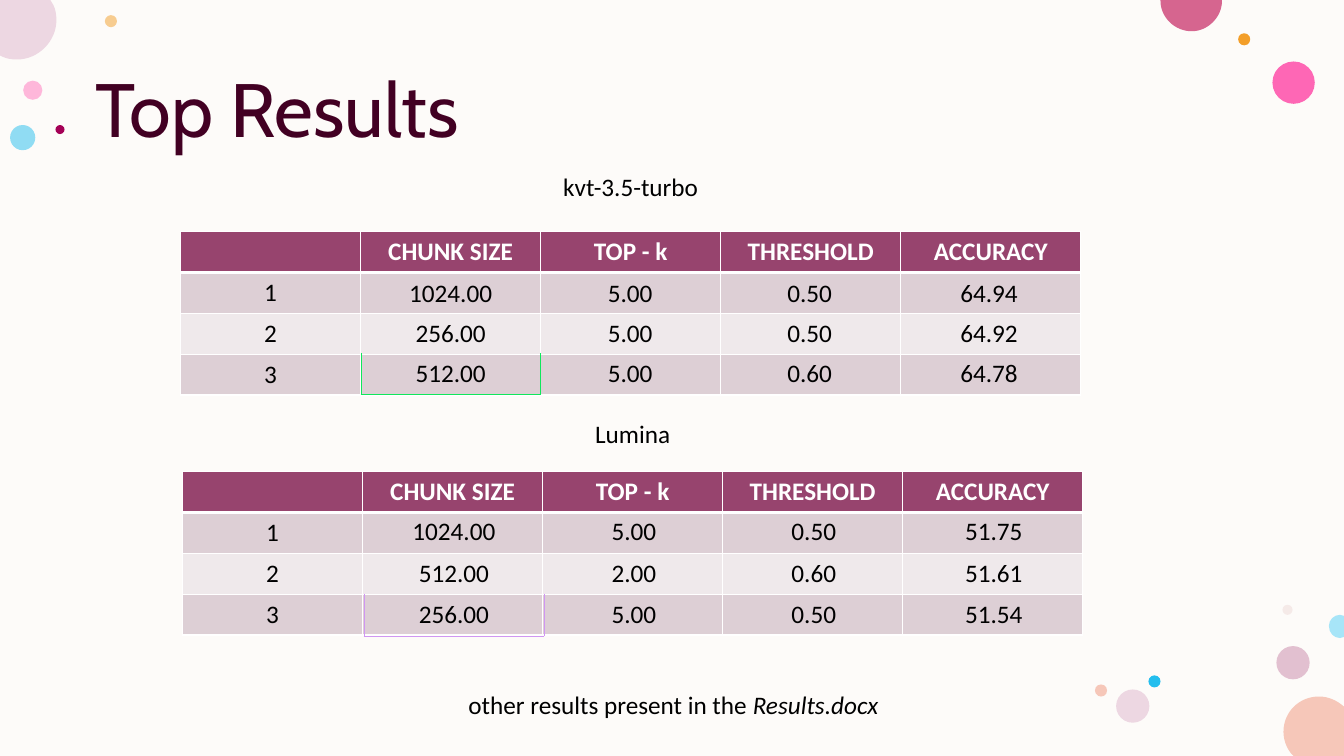
from lxml.etree import SubElement
from pptx import Presentation
from pptx.dml.color import RGBColor
from pptx.enum.shapes import MSO_SHAPE as Shape
from pptx.enum.text import MSO_ANCHOR as Anchor, PP_ALIGN as Align
from pptx.oxml.ns import qn
from pptx.util import Inches, Pt

WIDTH, HEIGHT = 13.33, 7.5
CREAM = RGBColor(0xFD, 0xFB, 0xF9)
WHITE = RGBColor(0xFF, 0xFF, 0xFF)
BLACK = RGBColor(0, 0, 0)
WINE = RGBColor(0x42, 0x00, 0x23)
PLUM = RGBColor(0x97, 0x44, 0x6E)
BAND_DARK = RGBColor(0xDD, 0xCF, 0xD5)
BAND_LIGHT = RGBColor(0xEF, 0xE9, 0xEB)
GREEN = RGBColor(0x10, 0xE7, 0x5C)
LILAC = RGBColor(0xD0, 0x96, 0xF2)
PINK = RGBColor(0xFF, 0x75, 0xBD)
HOT_PINK = RGBColor(0xFF, 0x2F, 0x9C)
ORANGE = RGBColor(0xF3, 0x9E, 0x29)
MAUVE = RGBColor(0xC9, 0x87, 0xA8)
BLUE = RGBColor(0x24, 0xBE, 0xEE)
PALE_BLUE = RGBColor(0xA7, 0xE5, 0xF8)
ROSE = RGBColor(0xE3, 0xBE, 0xBE)
BLUSH = RGBColor(0xED, 0xD7, 0xE2)
PEACH = RGBColor(0xF6, 0xC7, 0xB9)
RASPBERRY = RGBColor(0xD6, 0x65, 0x8F)
MAGENTA = RGBColor(0xA4, 0x00, 0x56)

PLAIN_STYLE = "{2D5ABB26-0587-4C30-8999-92F81FD0307C}"
BODY = {"name": "Calibri", "size": Pt(18), "bold": False}
HEADER = {**BODY, "bold": True}
TITLE = {"name": "Cabin", "size": Pt(54)}

# left, top, diameter, colour, opacity in percent
DOTS = [
    (0.23, 0.8, 0.19, PINK, 50),
    (1.04, 0.15, 0.12, ORANGE, 50),
    (12.66, 6.41, 0.33, MAUVE, 50),
    (0.1, 1.24, 0.25, BLUE, 50),
    (12.62, 0.61, 0.42, HOT_PINK, 72),
    (12.28, 0.33, 0.12, ORANGE, 100),
    (12.72, 6, 0.1, ROSE, 28),
    (11.39, 6.7, 0.12, BLUE, 100),
    (11.07, 6.84, 0.33, BLUSH, 100),
    (10.86, 6.79, 0.12, PEACH, 100),
    (0.55, 1.24, 0.09, MAGENTA, 100),
]
# Colour, start point, then segments: one point is a line, three are a curve
EDGE_DOTS = [
    (PEACH, (13.08, 6.91), [
        [(13.18, 6.91), (13.26, 6.95), (13.33, 7.01)], [(13.33, 7.5)], [(12.83, 7.5)],
        [(12.81, 7.48)], [(12.76, 7.42), (12.73, 7.34), (12.73, 7.26)],
        [(12.73, 7.06), (12.89, 6.91), (13.08, 6.91)]]),
    (BLUSH, (0, 0), [
        [(0.5, 0)], [(0.53, 0.05)], [(0.55, 0.09), (0.56, 0.14), (0.56, 0.2)],
        [(0.56, 0.41), (0.38, 0.59), (0.17, 0.59)],
        [(0.11, 0.59), (0.06, 0.58), (0.02, 0.56)], [(0, 0.55)]]),
    (RASPBERRY, (11.51, 0), [
        [(12.12, 0)], [(12.12, 0.01)], [(12.12, 0.17), (11.98, 0.31), (11.82, 0.31)],
        [(11.65, 0.31), (11.51, 0.17), (11.51, 0.01)]]),
    (PALE_BLUE, (13.29, 6.1), [
        [(13.33, 6.11)], [(13.33, 6.32)], [(13.29, 6.33)],
        [(13.23, 6.33), (13.18, 6.28), (13.18, 6.21)],
        [(13.18, 6.15), (13.23, 6.1), (13.29, 6.1)]]),
]
HEADINGS = ["", "CHUNK SIZE", "TOP - k", "THRESHOLD", "ACCURACY"]
FIRST_RESULTS = [
    ["1024.00", "5.00", "0.50", "64.94"],
    ["256.00", "5.00", "0.50", "64.92"],
    ["512.00", "5.00", "0.60", "64.78"],
]
SECOND_RESULTS = [
    ["1024.00", "5.00", "0.50", "51.75"],
    ["512.00", "2.00", "0.60", "51.61"],
    ["256.00", "5.00", "0.50", "51.54"],
]


def inches(*lengths):
    return [Inches(length) for length in lengths]


def paint(shape, colour, opacity=100):
    shape.shadow.inherit = False
    shape.fill.solid()
    shape.fill.fore_color.rgb = colour
    shape.line.fill.background()
    if opacity < 100:
        tint = shape._element.spPr.find(".//" + qn("a:srgbClr"))
        SubElement(tint, qn("a:alpha"), val=str(opacity * 1000))


def add_span(para, text, style, colour, italic=False):
    span = para.add_run()
    span.text = text
    for name, value in {**style, "italic": italic}.items():
        setattr(span.font, name, value)
    span.font.color.rgb = colour


def add_curved_outline(page, colour, start, segments):
    builder = page.shapes.build_freeform(*inches(*start))
    builder.add_line_segments([inches(*point) for segment in segments for point in segment])
    outline = builder.convert_to_shape()
    paint(outline, colour)
    # Join the three points of each curve into one Bézier segment
    lines = iter(outline._element.findall(".//" + qn("a:lnTo")))
    for segment in segments:
        first, *others = [next(lines) for _ in segment]
        if others:
            first.tag = qn("a:cubicBezTo")
            for line in others:
                first.append(line[0])
                line.getparent().remove(line)


def add_backdrop(page):
    paint(page.shapes.add_shape(Shape.RECTANGLE, *inches(0, 0, WIDTH, HEIGHT)), CREAM)
    for left, top, size, colour, opacity in DOTS:
        dot = page.shapes.add_shape(Shape.OVAL, *inches(left, top, size, size))
        paint(dot, colour, opacity)
    for colour, start, segments in EDGE_DOTS:
        add_curved_outline(page, colour, start, segments)


def add_title(page, box, text):
    frame = page.shapes.add_textbox(*inches(*box)).text_frame
    frame.word_wrap, frame.vertical_anchor = True, Anchor.MIDDLE
    frame.paragraphs[0].line_spacing = 0.9
    add_span(frame.paragraphs[0], text, TITLE, WINE)


def add_caption(page, box, text, italic_text=""):
    frame = page.shapes.add_textbox(*inches(*box)).text_frame
    frame.word_wrap = True
    para = frame.paragraphs[0]
    para.alignment = Align.CENTER
    add_span(para, text, BODY, BLACK)
    if italic_text:
        add_span(para, italic_text, BODY, BLACK, italic=True)


def add_plain_table(page, left, top, width, row_heights, columns):
    box = inches(left, top, width, sum(row_heights))
    table = page.shapes.add_table(len(row_heights), columns, *box).table
    properties = table._tbl.tblPr
    properties.find(qn("a:tableStyleId")).text = PLAIN_STYLE
    table.first_row = table.horz_banding = False
    for row, height in zip(table.rows, row_heights):
        row.height = Inches(height)
    for column in table.columns:
        column.width = Inches(width / columns)
    return table


def add_borders(cell, colour, widths):
    """Widths maps L, R, T, B, in that order, to points; 0 draws no line."""
    for side, width in widths.items():
        line = SubElement(cell._tc.get_or_add_tcPr(), qn(f"a:ln{side}"), w=str(Pt(width)))
        if width:
            fill = SubElement(line, qn("a:solidFill"))
            SubElement(fill, qn("a:srgbClr"), val=str(colour))
        else:
            SubElement(line, qn("a:noFill"))


def fill_cell(cell, text, style, colour):
    para = cell.text_frame.paragraphs[0]
    para.alignment = Align.CENTER
    if text:
        add_span(para, text, style, colour)


def add_rank_grid(page, left, top):
    """The coloured grid with its headings and rank numbers."""
    table = add_plain_table(page, left, top, 8.93, [0.405] * 4, len(HEADINGS))
    for row in range(4):
        texts = [str(row), "", "", "", ""] if row else HEADINGS
        style, colour = (BODY, BLACK) if row else (HEADER, WHITE)
        band = BAND_DARK if row % 2 else BAND_LIGHT
        for column, text in enumerate(texts):
            cell = table.cell(row, column)
            add_borders(cell, WHITE, {"L": 1, "R": 1, "T": 3 if row == 1 else 1,
                                      "B": 1 if row else 3})
            cell.fill.solid()
            cell.fill.fore_color.rgb = band if row else PLUM
            fill_cell(cell, text, style, colour)


def add_values(page, left, top, width, row_heights, results, accent):
    """The figures laid over the grid, with one accented cell."""
    table = add_plain_table(page, left, top, width, row_heights, 4)
    insets = {"margin_left": 0.01, "margin_right": 0.01, "margin_top": 0.01, "margin_bottom": 0}
    for row, values in enumerate(results):
        for column, value in enumerate(values):
            cell = table.cell(row, column)
            for name, length in insets.items():
                setattr(cell, name, Inches(length))
            cell.vertical_anchor = Anchor.MIDDLE
            fill_cell(cell, value, BODY, BLACK)
    add_borders(table.cell(2, 0), accent, {"L": 0.5, "R": 0.5, "T": 0, "B": 0.5})
    add_borders(table.cell(2, 1), accent, {"L": 0.5, "R": 0, "T": 0, "B": 0})
    for cell in table.iter_cells():
        cell.fill.background()


def main():
    deck = Presentation()
    deck.slide_width, deck.slide_height = inches(WIDTH, HEIGHT)
    page = deck.slides.add_slide(deck.slide_layouts[6])
    add_backdrop(page)
    add_title(page, (0.85, 0.4, 11.66, 1.45), "Top Results")
    add_caption(page, (4.55, 1.65, 3.41, 0.4), "kvt-3.5-turbo")
    add_caption(page, (4.57, 4.1, 3.41, 0.4), "Lumina")
    add_rank_grid(page, 1.79, 2.3)
    add_values(page, 3.58, 2.72, 7.12, [0.39, 0.39, 0.41], FIRST_RESULTS, GREEN)
    add_rank_grid(page, 1.81, 4.68)
    add_values(page, 3.61, 5.07, 7.14, [0.41, 0.41, 0.42], SECOND_RESULTS, LILAC)
    add_caption(page, (4.28, 6.79, 4.8, 0.4), "other results present in the ", "Results.docx")
    deck.save("out.pptx")


if __name__ == "__main__":
    main()
